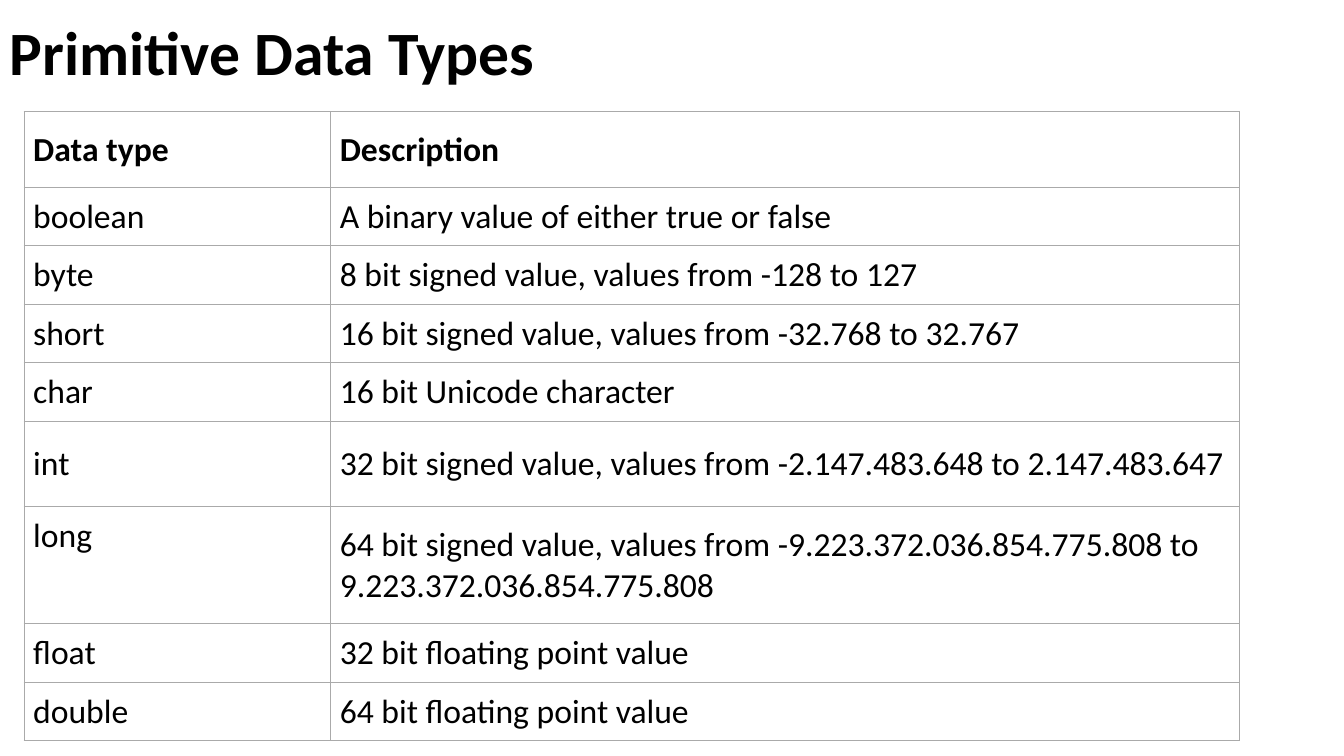
from lxml.etree import SubElement
from pptx import Presentation
from pptx.dml.color import RGBColor
from pptx.enum.text import MSO_ANCHOR
from pptx.oxml.ns import qn
from pptx.util import Inches, Pt

COLORS = {"text": "000000", "paper": "FFFFFF", "border": "AAAAAA"}

DATA_TYPES = [
    ("Data type", "Description"),
    ("boolean", "A binary value of either\u00a0true\u00a0or\u00a0false"),
    ("byte", "8 bit signed value, values from -128 to 127"),
    ("short", "16 bit signed value, values from -32.768 to 32.767"),
    ("char", "16 bit Unicode character"),
    ("int", "32 bit signed value, values from -2.147.483.648 to 2.147.483.647"),
    ("long", "64 bit signed value, values from -9.223.372.036.854.775.808 "
             "to 9.223.372.036.854.775.808"),
    ("float", "32 bit floating point value"),
    ("double", "64 bit floating point value"),
]
TOP_ANCHORED = {"long", "float", "double"}
COLUMN_WIDTHS = [22.81, 67.59]
ROW_HEIGHT = 7.07
SPECIAL_HEIGHTS = {"Data type": 10, "int": 11.33, "long": 15.47}


class SlideBuilder:
    """Holds the style and the current slide, on a grid of 100 by 100."""

    font = "Calibri"
    inset = Inches(0.09)
    border_width = Pt(0.75)

    def __init__(self, prs):
        """Add a blank slide and measure one grid column and row."""
        self.slide = prs.slides.add_slide(prs.slide_layouts[6])
        self.col = prs.slide_width / 100
        self.row = prs.slide_height / 100

    def x(self, columns):
        """Convert grid columns to a length."""
        return round(columns * self.col)

    def y(self, rows):
        """Convert grid rows to a length."""
        return round(rows * self.row)

    def set_text(self, tf, text, size, bold=False):
        """Set the text of a frame and format it."""
        tf.text = text
        p = tf.paragraphs[0]
        for r in p.runs:
            r.font.name = self.font
            r.font.size = Pt(size)
            r.font.bold = bold
            r.font.color.rgb = RGBColor.from_string(COLORS["text"])
        return p

    def title(self, text, left, top, width, height):
        """Add a bold, vertically centred heading."""
        sp = self.slide.shapes.add_textbox(
            self.x(left), self.y(top), self.x(width), self.y(height))
        tf = sp.text_frame
        tf.word_wrap = True
        tf.vertical_anchor = MSO_ANCHOR.MIDDLE
        self.set_text(tf, text, 44, bold=True).line_spacing = 0.9

    def border(self, cell):
        """Draw a thin line on all four sides of a cell."""
        tc_pr = cell._tc.get_or_add_tcPr()
        for i, side in enumerate(("lnL", "lnR", "lnT", "lnB")):
            ln = SubElement(tc_pr, qn(f"a:{side}"), w=str(self.border_width))
            fill = SubElement(ln, qn("a:solidFill"))
            SubElement(fill, qn("a:srgbClr"), val=COLORS["border"])
            tc_pr.insert(i, ln)

    def cell(self, cell, text, bold, anchor):
        """Fill, frame and label one table cell."""
        cell.fill.solid()
        cell.fill.fore_color.rgb = RGBColor.from_string(COLORS["paper"])
        cell.margin_left = cell.margin_right = self.inset
        cell.margin_top = cell.margin_bottom = self.inset
        cell.vertical_anchor = anchor
        self.border(cell)
        self.set_text(cell.text_frame, text, 24, bold)

    def table(self, rows, left, top, widths, heights):
        """Add a table with a bold first row."""
        table = self.slide.shapes.add_table(
            len(rows), len(widths), self.x(left), self.y(top),
            self.x(sum(widths)), self.y(sum(heights))).table
        for column, width in zip(table.columns, widths):
            column.width = self.x(width)
        for i, (texts, height) in enumerate(zip(rows, heights)):
            table.rows[i].height = self.y(height)
            for j, text in enumerate(texts):
                anchor = MSO_ANCHOR.TOP if text in TOP_ANCHORED else MSO_ANCHOR.MIDDLE
                self.cell(table.cell(i, j), text, i == 0, anchor)


def main():
    """Build the slide and save it."""
    prs = Presentation()
    prs.slide_width, prs.slide_height = Inches(13.33), Inches(7.5)
    s = SlideBuilder(prs)
    s.title("Primitive Data Types", 0, 0, 86.27, 14.8)
    heights = [SPECIAL_HEIGHTS.get(name, ROW_HEIGHT) for name, _ in DATA_TYPES]
    s.table(DATA_TYPES, 1.8, 14.8, COLUMN_WIDTHS, heights)
    prs.save("out.pptx")


main()
